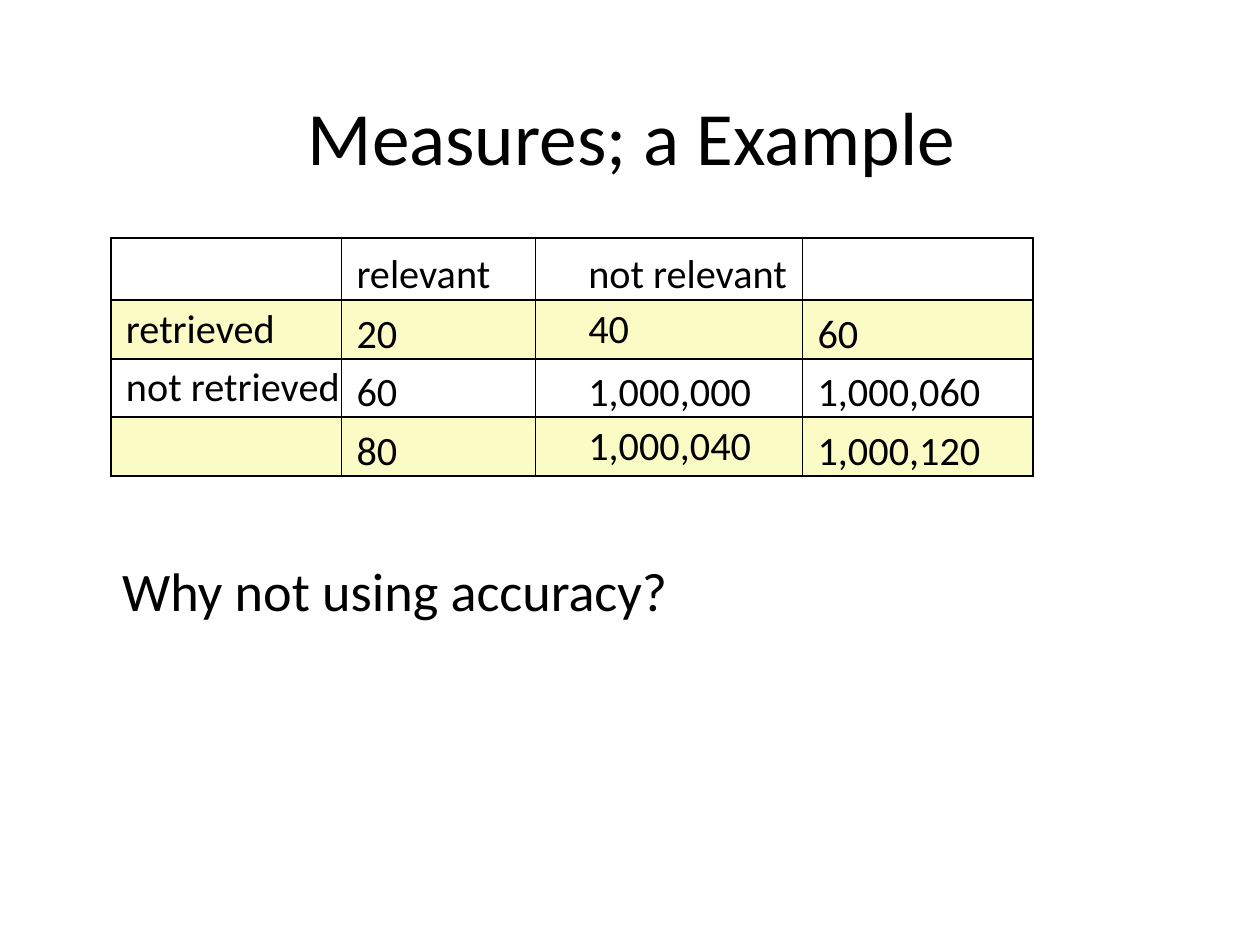
from lxml.etree import SubElement
from pptx import Presentation
from pptx.dml.color import RGBColor
from pptx.enum.text import MSO_ANCHOR as ANCHOR, PP_ALIGN as ALIGN
from pptx.oxml.ns import qn
from pptx.util import Inches, Pt

BLACK = RGBColor(0x00, 0x00, 0x00)
YELLOW = RGBColor(0xFB, 0xFB, 0xC5)
FONT = "Calibri"
COLS = [1.83, 1.54, 2.12, 1.83]
ROWS = [0.49, 0.47, 0.46, 0.47]
INDENTS = [0.12, 0.12, 0.42, 0.12]
CELLS = [
    ["", "relevant", "not relevant", ""],
    ["retrieved", "20", "40", "60"],
    ["not retrieved", "60", "1,000,000", "1,000,060"],
    ["", "80", "1,000,040", "1,000,120"],
]
MIDDLE = {(1, 0), (1, 2), (2, 0), (3, 2)}


def add_run(p, text, size):
    """Add one black run to a paragraph."""
    r = p.add_run()
    r.text = text
    r.font.name = FONT
    r.font.size = Pt(size)
    r.font.color.rgb = BLACK


def fill_placeholder(sp, box, text, size, align):
    """Place a placeholder and write its single unbulleted line."""
    sp.left, sp.top, sp.width, sp.height = [Inches(v) for v in box]
    tf = sp.text_frame
    tf.margin_left = tf.margin_top = tf.margin_right = tf.margin_bottom = 0
    tf.word_wrap = False
    tf.vertical_anchor = ANCHOR.TOP
    p = tf.paragraphs[0]
    p.alignment = align
    p.space_before = Pt(0)
    pPr = p._p.get_or_add_pPr()
    pPr.set("marL", "0")
    pPr.set("indent", "0")
    SubElement(pPr, qn("a:buNone"))
    add_run(p, text, size)


def add_borders(cell):
    """Draw a thin black line on every side of a cell."""
    tcPr = cell._tc.get_or_add_tcPr()
    for i, side in enumerate(("a:lnL", "a:lnR", "a:lnT", "a:lnB")):
        ln = SubElement(tcPr, qn(side), w=str(Pt(1)))
        tcPr.insert(i, ln)
        fill = SubElement(ln, qn("a:solidFill"))
        SubElement(fill, qn("a:srgbClr"), val=str(BLACK))


def format_cell(cell, row, col):
    """Write, align, fill and border one table cell."""
    cell.margin_left = Inches(INDENTS[col])
    cell.margin_top = cell.margin_right = cell.margin_bottom = 0
    cell.vertical_anchor = ANCHOR.MIDDLE if (row, col) in MIDDLE else ANCHOR.BOTTOM
    if row % 2:
        cell.fill.solid()
        cell.fill.fore_color.rgb = YELLOW
    else:
        cell.fill.background()
    add_borders(cell)
    if CELLS[row][col]:
        add_run(cell.text_frame.paragraphs[0], CELLS[row][col], 23)


def add_counts_table(s):
    """Add the table of retrieved and relevant counts."""
    table = s.shapes.add_table(
        len(ROWS), len(COLS), Inches(0.88), Inches(1.89),
        Inches(sum(COLS)), Inches(sum(ROWS))).table
    table.first_row = table.horz_banding = False
    for column, width in zip(table.columns, COLS):
        column.width = Inches(width)
    for row, height in enumerate(ROWS):
        table.rows[row].height = Inches(height)
        for col in range(len(COLS)):
            format_cell(table.cell(row, col), row, col)


def main():
    """Build and save the slide."""
    prs = Presentation()
    prs.slide_width, prs.slide_height = Inches(10), Inches(7.5)
    s = prs.slides.add_slide(prs.slide_layouts[1])
    fill_placeholder(s.shapes.title, (2.4, 0.72, 5.22, 0.56),
                     "Measures; a Example", 43, ALIGN.CENTER)
    add_counts_table(s)
    fill_placeholder(s.placeholders[1], (0.97, 4.42, 4.48, 0.42),
                     "Why not using accuracy?", 31, ALIGN.LEFT)
    prs.save("out.pptx")


if __name__ == "__main__":
    main()
